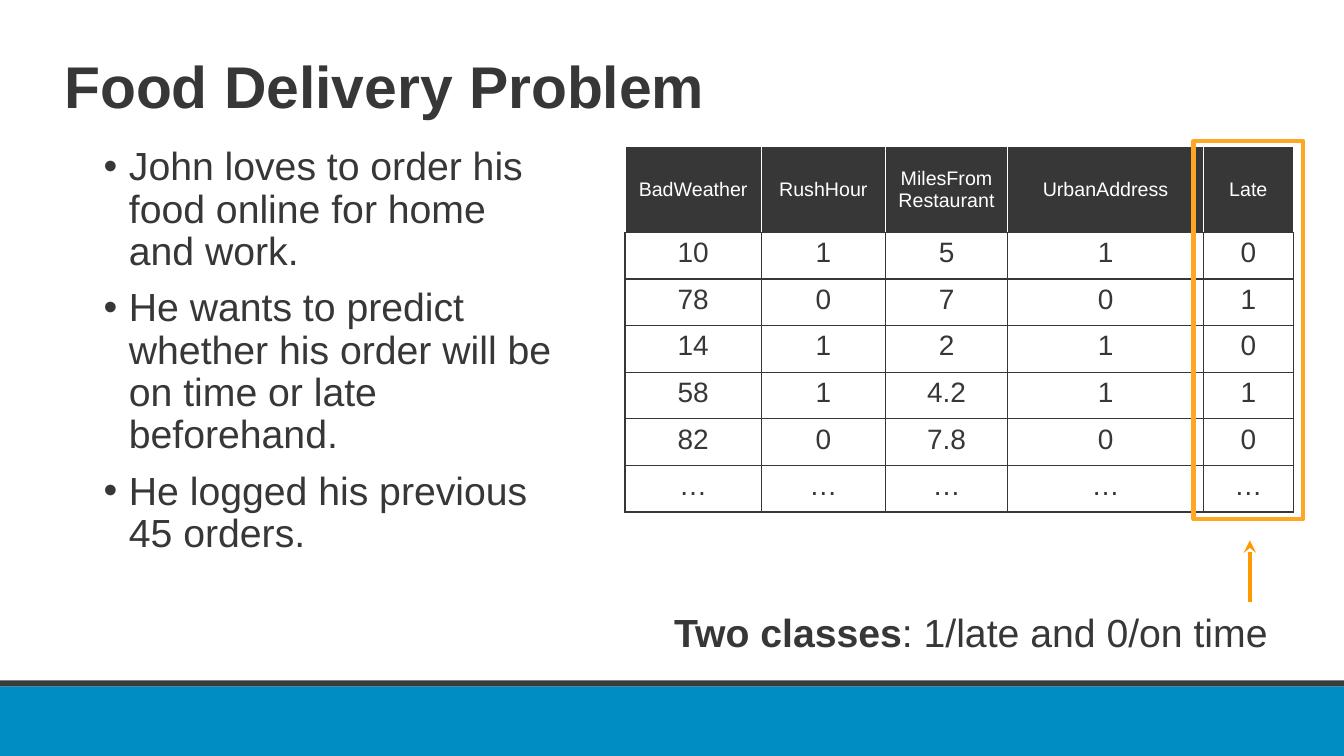
"""Build the Food Delivery Problem slide with its order log table."""
from dataclasses import dataclass
from typing import NamedTuple

from lxml import etree
from pptx import Presentation
from pptx.dml.color import RGBColor
from pptx.enum.shapes import MSO_CONNECTOR, MSO_SHAPE
from pptx.enum.text import MSO_ANCHOR, PP_ALIGN
from pptx.oxml.ns import qn
from pptx.slide import Slide
from pptx.table import _Cell
from pptx.text.text import _Paragraph
from pptx.util import Pt

RECTANGLE = MSO_SHAPE.RECTANGLE
STRAIGHT = MSO_CONNECTOR.STRAIGHT
CENTER = PP_ALIGN.CENTER
TOP, MIDDLE = MSO_ANCHOR.TOP, MSO_ANCHOR.MIDDLE


@dataclass(frozen=True)
class Theme:
    font: str = "Arial"
    ink: str = "373737"
    paper: str = "FFFFFF"
    footer: str = "008DC4"
    footer_edge: str = "383D3B"
    highlight: str = "FFA725"
    arrow: str = "FF9900"
    title_size: int = 42
    text_size: int = 28
    value_size: int = 20
    header_size: int = 14


class Box(NamedTuple):
    left: float
    top: float
    width: float
    height: float


class Band(NamedTuple):
    box: Box
    color: str


class Phrase(NamedTuple):
    text: str
    bold: bool = False


class TextBlock(NamedTuple):
    box: Box
    paragraphs: list[list[Phrase]]
    size: int
    line_spacing: float = 1.0
    bulleted: bool = False


THEME = Theme()
SLIDE_WIDTH, SLIDE_HEIGHT = 960, 540
BULLET_INDENT = 18
PARAGRAPH_GAP = 10
STROKE = 3

FOOTER_BANDS = [
    Band(Box(0, 490.3, SLIDE_WIDTH, 49.7), THEME.footer),
    Band(Box(0, 486, SLIDE_WIDTH, 4.3), THEME.footer_edge),
]
TEXT_BLOCKS = [
    TextBlock(Box(38.9, 37.4, 828, 78.5), [[Phrase("Food Delivery Problem", True)]],
              THEME.title_size, 0.9),
    TextBlock(Box(67, 101.5, 334, 382), [
        [Phrase("John loves to order his food online for home and work.")],
        [Phrase("He wants to predict whether his order will be on time or late beforehand.")],
        [Phrase("He logged his previous 45 orders.")],
    ], THEME.text_size, 0.9, True),
    TextBlock(Box(474.5, 431.3, 480, 41),
              [[Phrase("Two classes", True), Phrase(": 1/late and 0/on time")]],
              THEME.text_size),
]
ORDER_LOG = [
    ["BadWeather", "RushHour", "MilesFromRestaurant", "UrbanAddress", "Late"],
    ["10", "1", "5", "1", "0"],
    ["78", "0", "7", "0", "1"],
    ["14", "1", "2", "1", "0"],
    ["58", "1", "4.2", "1", "1"],
    ["82", "0", "7.8", "0", "0"],
    ["…"] * 5,
]
LOG_LEFT, LOG_TOP = 446.4, 104.8
COLUMN_WIDTHS = [97.5, 88.5, 87.5, 139.7, 64.3]
HEADER_HEIGHT, ROW_HEIGHT = 61.2, 33.3
LATE_BOX = Box(852.5, 100.8, 78.5, 270)
ARROW_X, ARROW_START, ARROW_END = 892.8, 429.8, 386


def points(values: tuple[float, ...]) -> list[Pt]:
    return [Pt(value) for value in values]


def add_phrase(paragraph: _Paragraph, phrase: Phrase, size: int, color: str) -> None:
    run = paragraph.add_run()
    run.text = phrase.text
    formats = {"name": THEME.font, "size": Pt(size), "bold": phrase.bold}
    for attribute, value in formats.items():
        setattr(run.font, attribute, value)
    run.font.color.rgb = RGBColor.from_string(color)


def add_bullet(paragraph: _Paragraph) -> None:
    properties = paragraph._p.get_or_add_pPr()
    properties.set("marL", str(Pt(BULLET_INDENT)))
    properties.set("indent", str(-Pt(BULLET_INDENT)))
    etree.SubElement(properties, qn("a:buFont")).set("typeface", THEME.font)
    etree.SubElement(properties, qn("a:buChar")).set("char", "•")


def add_text(slide: Slide, block: TextBlock) -> None:
    frame = slide.shapes.add_textbox(*points(block.box)).text_frame
    frame.word_wrap = True
    for index, phrases in enumerate(block.paragraphs):
        paragraph = frame.add_paragraph() if index else frame.paragraphs[0]
        if block.bulleted:
            add_bullet(paragraph)
        formats = {
            "line_spacing": block.line_spacing,
            "space_before": Pt(PARAGRAPH_GAP if index else 0),
        }
        for attribute, value in formats.items():
            setattr(paragraph, attribute, value)
        for phrase in phrases:
            add_phrase(paragraph, phrase, block.size, THEME.ink)


def add_band(slide: Slide, band: Band) -> None:
    bar = slide.shapes.add_shape(RECTANGLE, *points(band.box))
    bar.shadow.inherit = False
    bar.fill.solid()
    bar.fill.fore_color.rgb = RGBColor.from_string(band.color)
    bar.line.fill.background()


def set_borders(cell: _Cell, colors: dict[str, str]) -> None:
    properties = cell._tc.get_or_add_tcPr()
    for side, color in colors.items():
        border = etree.SubElement(properties, qn(f"a:{side}"), w=str(Pt(1)))
        fill = etree.SubElement(border, qn("a:solidFill"))
        etree.SubElement(fill, qn("a:srgbClr"), val=color)


def fill_cell(cell: _Cell, text: str, is_header: bool) -> None:
    edge = THEME.paper if is_header else THEME.ink
    set_borders(cell, {"lnL": edge, "lnR": edge, "lnT": edge, "lnB": THEME.ink})
    if is_header:
        cell.fill.solid()
        cell.fill.fore_color.rgb = RGBColor.from_string(THEME.ink)
    else:
        cell.fill.background()
    cell.vertical_anchor = MIDDLE if is_header else TOP
    paragraph = cell.text_frame.paragraphs[0]
    paragraph.alignment = CENTER
    size = THEME.header_size if is_header else THEME.value_size
    add_phrase(paragraph, Phrase(text), size, THEME.paper if is_header else THEME.ink)


def add_order_log(slide: Slide) -> None:
    heights = [HEADER_HEIGHT] + [ROW_HEIGHT] * (len(ORDER_LOG) - 1)
    box = Box(LOG_LEFT, LOG_TOP, sum(COLUMN_WIDTHS), sum(heights))
    log = slide.shapes.add_table(len(heights), len(COLUMN_WIDTHS), *points(box)).table
    log.first_row = log.horz_banding = False
    for column, width in zip(log.columns, COLUMN_WIDTHS):
        column.width = Pt(width)
    for index, (row, height, values) in enumerate(zip(log.rows, heights, ORDER_LOG)):
        row.height = Pt(height)
        for cell, value in zip(row.cells, values):
            fill_cell(cell, value, index == 0)


def add_late_marker(slide: Slide) -> None:
    frame = slide.shapes.add_shape(RECTANGLE, *points(LATE_BOX))
    frame.shadow.inherit = False
    frame.fill.background()
    ends = points((ARROW_X, ARROW_START, ARROW_X, ARROW_END))
    arrow = slide.shapes.add_connector(STRAIGHT, *ends)
    for outline, color in ((frame.line, THEME.highlight), (arrow.line, THEME.arrow)):
        outline.color.rgb = RGBColor.from_string(color)
        outline.width = Pt(STROKE)
    etree.SubElement(arrow.line._get_or_add_ln(), qn("a:tailEnd")).set("type", "stealth")
    etree.SubElement(arrow._element.spPr, qn("a:effectLst"))


def main() -> None:
    deck = Presentation()
    deck.slide_width, deck.slide_height = points((SLIDE_WIDTH, SLIDE_HEIGHT))
    slide = deck.slides.add_slide(deck.slide_layouts[6])
    for band in FOOTER_BANDS:
        add_band(slide, band)
    for block in TEXT_BLOCKS:
        add_text(slide, block)
    add_order_log(slide)
    add_late_marker(slide)
    deck.save("out.pptx")


if __name__ == "__main__":
    main()
